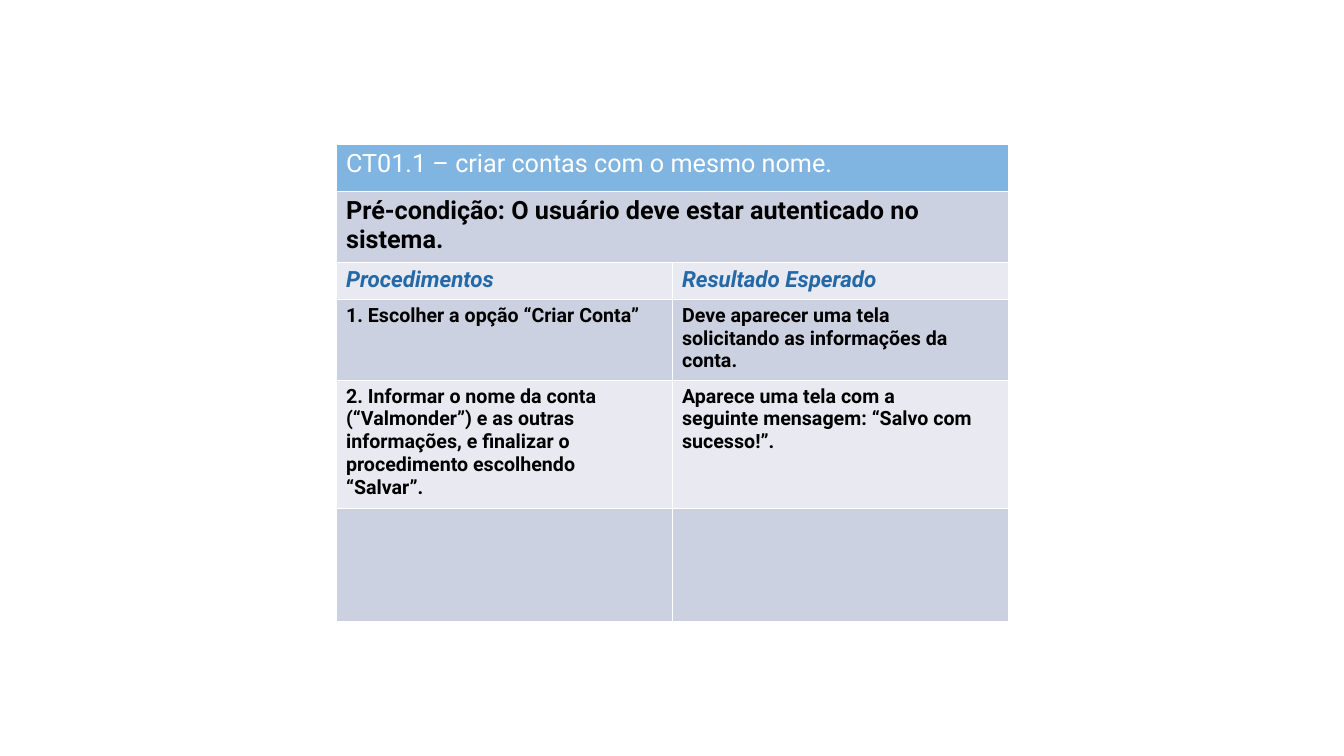
from lxml.etree import fromstring
from pptx import Presentation
from pptx.dml.color import RGBColor
from pptx.util import Pt

WHITE = RGBColor(0xFF, 0xFF, 0xFF)
BLACK = RGBColor(0, 0, 0)
SKY = RGBColor(0x80, 0xB5, 0xE2)
BLUE = RGBColor(0x24, 0x69, 0xA6)
DARK = RGBColor(0xCC, 0xD1, 0xE1)
LIGHT = RGBColor(0xE8, 0xE9, 0xF1)
SPACE = "http://schemas.openxmlformats.org/drawingml/2006/main"

ROWS = [
    (33.84, SKY, ["CT01.1 – criar contas com o mesmo nome."],
     dict(size=18, color=WHITE, bold=False)),
    (50.4, DARK, ["Pré-condição: O usuário deve estar autenticado no sistema."],
     dict(size=18)),
    (26.64, LIGHT, ["Procedimentos", "Resultado Esperado"],
     dict(size=16, color=BLUE, italic=True)),
    (57.6, DARK, ["1. Escolher a opção “Criar Conta”",
                  "Deve aparecer uma tela\nsolicitando as informações da conta."], {}),
    (91.44, LIGHT, ["2. Informar o nome da conta\n(“Valmonder”) e as outras\n"
                    "informações, e finalizar o\nprocedimento escolhendo\n“Salvar”.",
                    "Aparece uma tela com a\nseguinte mensagem: “Salvo com sucesso!”."], {}),
    (80.64, DARK, ["", ""], {}),
]


def write(frame, text, font="Roboto", size=14, color=BLACK, bold=True, italic=False):
    frame.word_wrap = True
    frame.text = text
    for para in frame.paragraphs:
        para.line_spacing = 0.98
        for run in para.runs:
            run.font.name = font
            run.font.size = Pt(size)
            run.font.color.rgb = color
            run.font.bold = bold
            run.font.italic = italic


class Deck:
    def __init__(self, width, height):
        self.show = Presentation()
        self.show.slide_width = Pt(width)
        self.show.slide_height = Pt(height)
        self.slide = self.show.slides.add_slide(self.show.slide_layouts[6])
        self.edge = WHITE
        self.thin = 0.23
        self.thick = 0.75

    def border(self, cell, top, bottom):
        sides = {"L": self.thin, "R": self.thin, "T": top, "B": bottom}
        props = cell._tc.get_or_add_tcPr()
        for spot, (side, width) in enumerate(sides.items()):
            props.insert(spot, fromstring(
                f'<a:ln{side} xmlns:a="{SPACE}" w="{int(Pt(width))}"><a:solidFill>'
                f'<a:srgbClr val="{self.edge}"/></a:solidFill></a:ln{side}>'))

    def table(self, left, top, widths, rows):
        height = sum(row[0] for row in rows)
        grid = self.slide.shapes.add_table(
            len(rows), len(widths), Pt(left), Pt(top), Pt(sum(widths)), Pt(height)).table
        grid.first_row = grid.horz_banding = False
        for col, width in zip(grid.columns, widths):
            col.width = Pt(width)
        for num, (tall, fill, texts, style) in enumerate(rows):
            grid.rows[num].height = Pt(tall)
            for col in range(len(widths)):
                cell = grid.cell(num, col)
                cell.fill.solid()
                cell.fill.fore_color.rgb = fill
                self.border(cell, self.thick if num == 1 else self.thin,
                            self.thick if num == 0 else self.thin)
            if len(texts) < len(widths):
                grid.cell(num, 0).merge(grid.cell(num, len(widths) - 1))
            for col, text in enumerate(texts):
                if text:
                    write(grid.cell(num, col).text_frame, text, **style)


def main():
    deck = Deck(960, 540)
    deck.table(240, 103, [240, 240], ROWS)
    deck.show.save("out.pptx")


if __name__ == "__main__":
    main()
